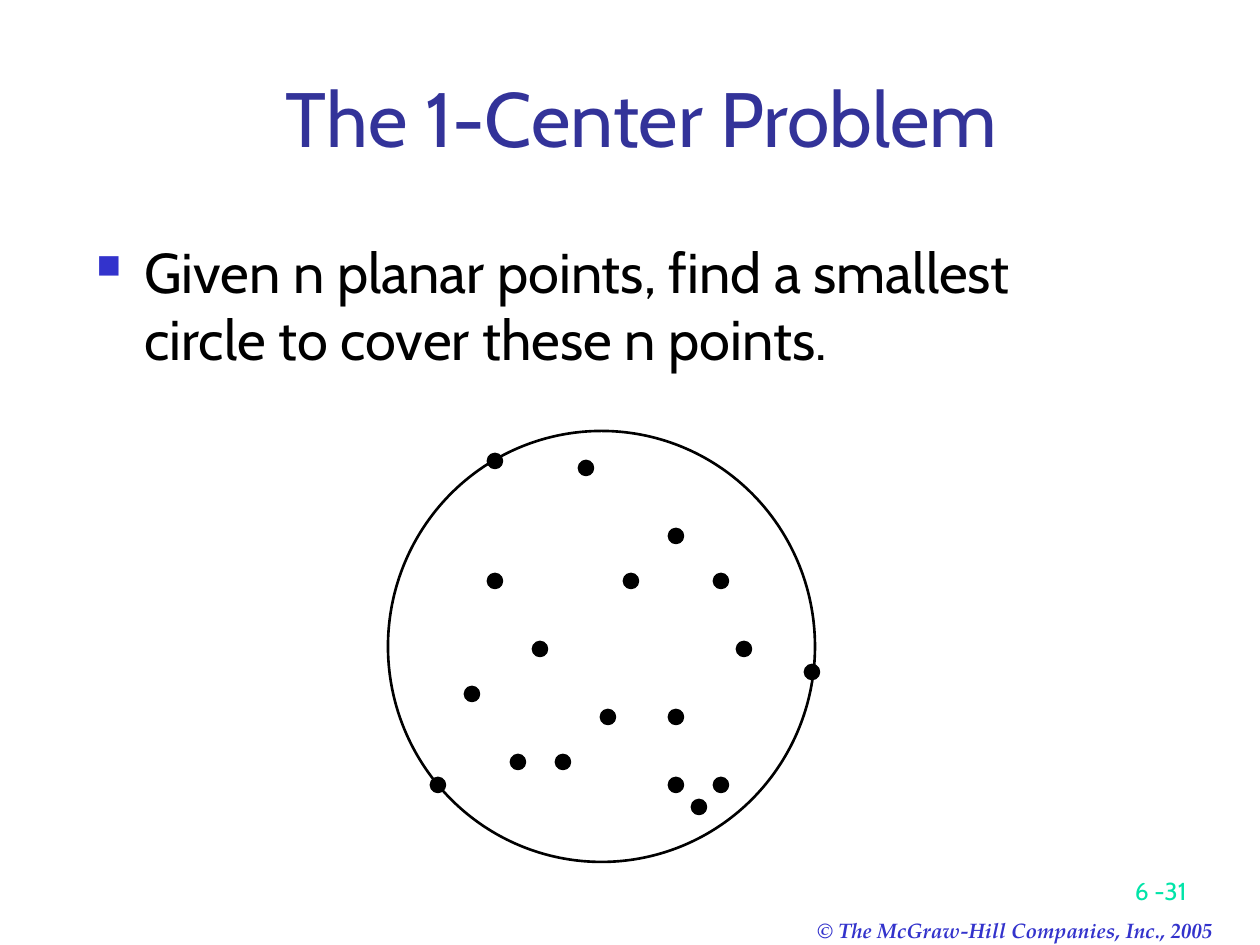
import pptx
import pptx.dml.color
import pptx.enum.shapes
import pptx.enum.text
import pptx.util
from lxml import etree

RGBColor = pptx.dml.color.RGBColor
Align = pptx.enum.text.PP_ALIGN
Anchor = pptx.enum.text.MSO_ANCHOR

PX = 914400 / 126
BLACK = RGBColor(0x00, 0x00, 0x00)
TITLE_BLUE = RGBColor(0x33, 0x33, 0x99)
ACCENT_BLUE = RGBColor(0x33, 0x33, 0xCC)
GREEN = RGBColor(0x00, 0xE4, 0xA8)

BULLET_INDENT = 48
POINT_RADIUS = 7
COVER_CIRCLE = (388, 431, 427, 431)
POINT_CENTERS = [
    (495, 461), (586, 468), (676, 536), (631, 581), (721, 581), (744, 649),
    (495, 581), (540, 649), (472, 694), (518, 762), (563, 762), (608, 717),
    (676, 717), (676, 785), (721, 785), (699, 807), (812, 672), (438, 785),
]

presentation = pptx.Presentation()
presentation.slide_width = round(1260 * PX)
presentation.slide_height = round(945 * PX)
slide = presentation.slides.add_slide(presentation.slide_layouts[6])


def add_text(text, box, *, size, color, font="Cabin", align=Align.LEFT,
             anchor=Anchor.TOP, wrap=True, bold=False, italic=False, bullet=None):
    shape = slide.shapes.add_textbox(*(round(length * PX) for length in box))
    frame = shape.text_frame
    frame.word_wrap = wrap
    frame.vertical_anchor = anchor
    paragraph = frame.paragraphs[0]
    paragraph.alignment = align
    if bullet:
        properties = paragraph._p.get_or_add_pPr()
        properties.set("marL", str(round(BULLET_INDENT * PX)))
        properties.set("indent", str(round(-BULLET_INDENT * PX)))
        namespace = properties.nsmap["a"]
        bullet_color = etree.SubElement(properties, f"{{{namespace}}}buClr")
        etree.SubElement(bullet_color, f"{{{namespace}}}srgbClr", val=str(ACCENT_BLUE))
        etree.SubElement(properties, f"{{{namespace}}}buSzPct", val="60000")
        etree.SubElement(properties, f"{{{namespace}}}buChar", char=bullet)
    run = paragraph.add_run()
    run.text = text
    run.font.name = font
    run.font.size = pptx.util.Pt(size)
    run.font.bold = bold
    run.font.italic = italic
    run.font.color.rgb = color


def add_ellipse(left, top, width, height, *, filled):
    shape = slide.shapes.add_shape(
        pptx.enum.shapes.MSO_SHAPE.OVAL,
        *(round(length * PX) for length in (left, top, width, height)))
    shape.shadow.inherit = False
    shape.line.color.rgb = BLACK
    shape.line.width = pptx.util.Pt(1.5)
    if filled:
        shape.fill.solid()
        shape.fill.fore_color.rgb = BLACK
    else:
        shape.fill.background()


add_text("© The McGraw-Hill Companies, Inc., 2005", (805, 911, 464, 38), size=12,
         color=ACCENT_BLUE, font="TeX Gyre Pagella", wrap=False, bold=True, italic=True)
add_text("6 -31", (937, 849, 262, 63), size=14, color=GREEN,
         align=Align.RIGHT, anchor=Anchor.BOTTOM)
add_text("Given n planar points, find a smallest circle to cover these n points.",
         (84, 231, 1071, 567), size=32, color=BLACK, bullet="■")
add_text("The 1-Center Problem", (105, 63, 1074, 106), size=44, color=TITLE_BLUE,
         align=Align.CENTER, anchor=Anchor.BOTTOM)

add_ellipse(*COVER_CIRCLE, filled=False)
for x, y in POINT_CENTERS:
    add_ellipse(x - POINT_RADIUS, y - POINT_RADIUS,
                2 * POINT_RADIUS, 2 * POINT_RADIUS, filled=True)

presentation.save("out.pptx")
